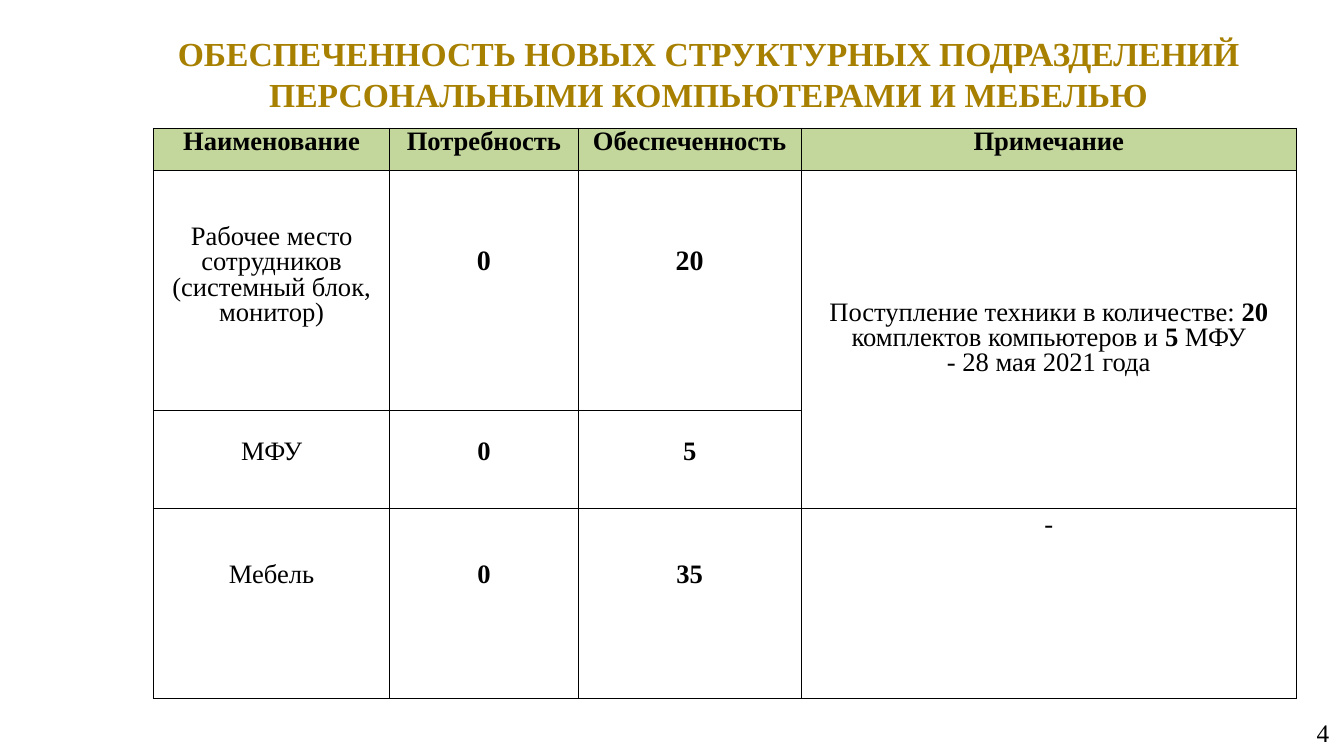
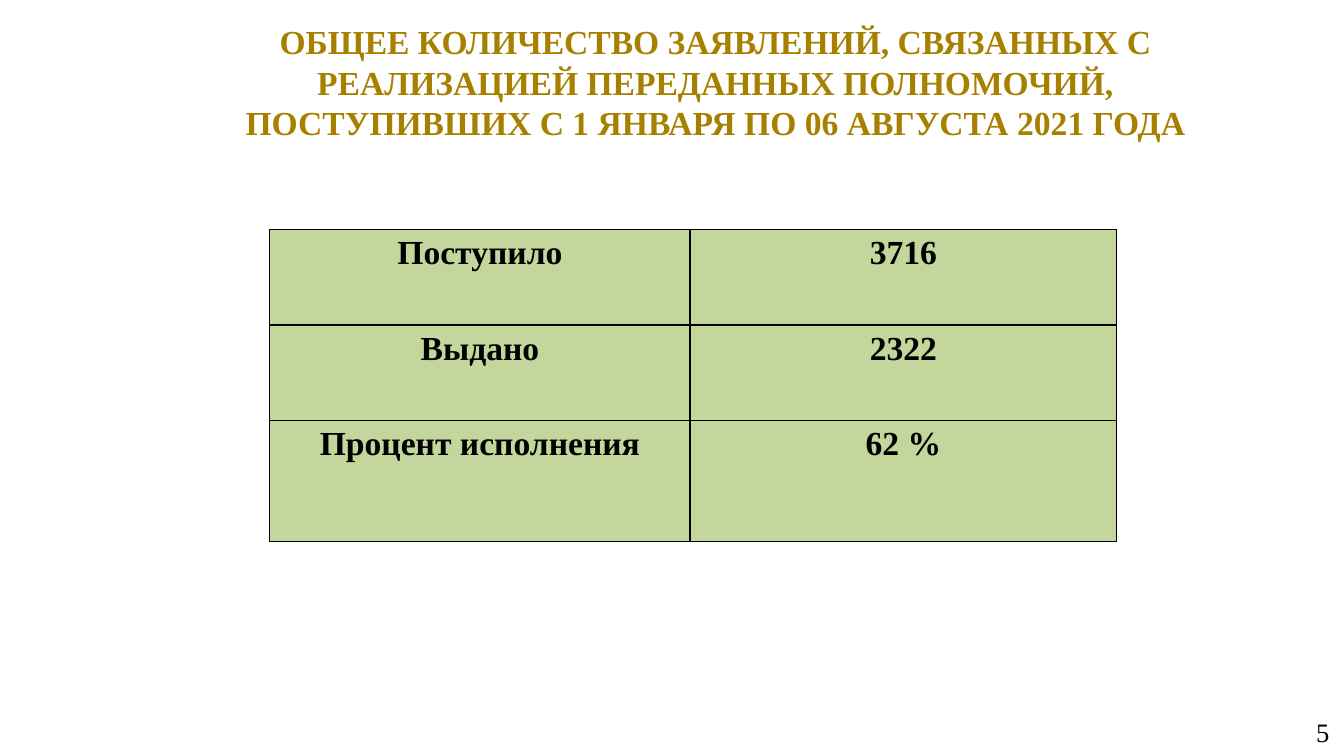
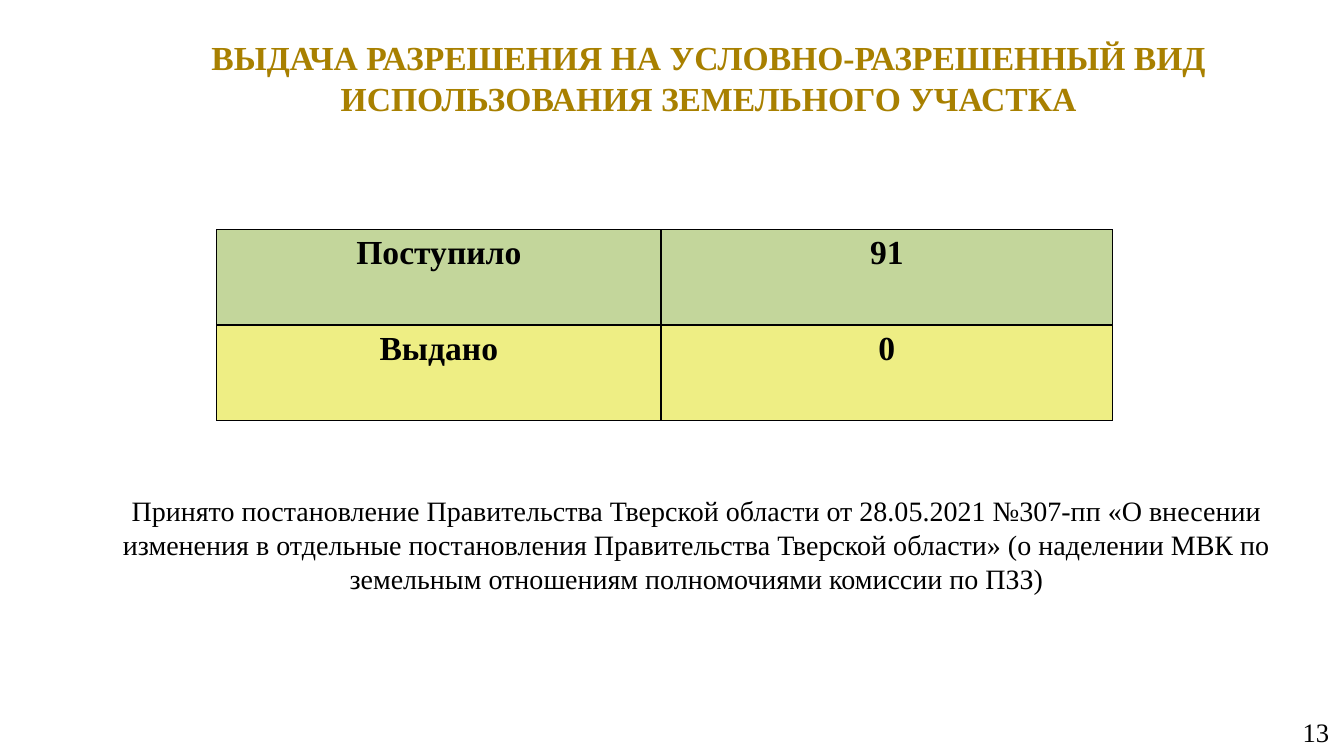
from dataclasses import dataclass
from typing import Optional

from lxml import etree
from pptx import Presentation
from pptx import util as u
from pptx.dml.color import RGBColor
from pptx.enum import text as t
from pptx.oxml import ns

GOLD = RGBColor(0xA8, 0x80, 0x00)
BLACK = RGBColor(0, 0, 0)
GREEN = RGBColor(0xC3, 0xD6, 0x9B)
YELLOW = RGBColor(0xEE, 0xEE, 0x84)
FACE = "Times New Roman"
EDGE = u.Pt(0.96)
PAD_X, PAD_Y = u.Cm(0.33), u.Cm(0.13)
BOX_Y = u.Cm(0.18)
LINE = u.Pt(18)


@dataclass
class Cell:
    """Lines of a cell; parts between asterisks are bold, gap counts lines above."""
    lines: tuple[str, ...]
    gap: int = 0
    size: float = 19
    bold: bool = False
    lead: Optional[u.Pt] = LINE
    fill: Optional[RGBColor] = None
    down: int = 1


@dataclass
class Grid:
    left: float
    top: float
    cols: tuple[float, ...]
    rows: tuple[float, ...]
    cells: list[list[Optional[Cell]]]


@dataclass
class Page:
    title: str
    left: float
    top: float
    num: str
    size: float
    grid: Grid


def style(par, size: float, color: RGBColor = BLACK, bold: bool = False,
          align=t.PP_ALIGN.CENTER) -> None:
    par.alignment = align
    font = par.font
    font.name, font.size, font.bold = FACE, u.Pt(size), bold
    font.color.rgb = color


def setup(frame) -> None:
    frame.word_wrap = True
    frame.auto_size = t.MSO_AUTO_SIZE.NONE
    frame.vertical_anchor = t.MSO_ANCHOR.MIDDLE
    frame.margin_left = frame.margin_right = PAD_X
    frame.margin_top = frame.margin_bottom = BOX_Y


def place(shape, left: float, top: float, width: float, height: float) -> None:
    shape.left, shape.top = u.Cm(left), u.Cm(top)
    shape.width, shape.height = u.Cm(width), u.Cm(height)


def add_text(slide, words: str, left: float, top: float, width: float,
             height: float, size: float, align=t.PP_ALIGN.CENTER) -> None:
    box = slide.shapes.add_textbox(0, 0, 0, 0)
    place(box, left, top, width, height)
    setup(box.text_frame)
    box.text_frame.text = words
    style(box.text_frame.paragraphs[0], size, align=align)


def add_edges(cell) -> None:
    props = cell._tc.get_or_add_tcPr()
    for side in ("lnL", "lnR", "lnT", "lnB"):
        line = etree.SubElement(props, ns.qn(f"a:{side}"), w=str(int(EDGE)))
        fill = etree.SubElement(line, ns.qn("a:solidFill"))
        etree.SubElement(fill, ns.qn("a:srgbClr"), val=str(BLACK))


def fill_cell(cell, item: Cell) -> None:
    if item.fill is not None:
        cell.fill.solid()
        cell.fill.fore_color.rgb = item.fill
    cell.margin_left = cell.margin_right = PAD_X
    cell.margin_top = PAD_Y + item.gap * LINE
    cell.margin_bottom = PAD_Y
    frame = cell.text_frame
    for i, line in enumerate(item.lines):
        par = frame.add_paragraph() if i else frame.paragraphs[0]
        for j, part in enumerate(line.split("*")):
            run = par.add_run()
            run.text = part
            if j % 2:
                run.font.bold = True
        style(par, item.size, bold=item.bold)
        if item.lead is not None:
            par.line_spacing = item.lead


def add_grid(slide, grid: Grid) -> None:
    table = slide.shapes.add_table(
        len(grid.rows), len(grid.cols), u.Cm(grid.left), u.Cm(grid.top),
        u.Cm(sum(grid.cols)), u.Cm(sum(grid.rows))).table
    table.first_row = table.horz_banding = False
    for col, width in zip(table.columns, grid.cols):
        col.width = u.Cm(width)
    for row, height in zip(table.rows, grid.rows):
        row.height = u.Cm(height)
    for r, items in enumerate(grid.cells):
        for c, item in enumerate(items):
            cell = table.cell(r, c)
            add_edges(cell)
            cell.fill.background()
            if item is None:
                continue
            if item.down > 1:
                cell.merge(table.cell(r + item.down - 1, c))
            fill_cell(cell, item)


def add_page(deck, page: Page):
    slide = deck.slides.add_slide(deck.slide_layouts[5])
    title = slide.shapes.title
    place(title, page.left, page.top, 29.06, 2.51)
    setup(title.text_frame)
    title.text_frame.text = page.title
    style(title.text_frame.paragraphs[0], 24, GOLD, True)
    add_text(slide, page.num, 25.96, 17.96, 7.87, 0.99, page.size,
             t.PP_ALIGN.RIGHT)
    add_grid(slide, page.grid)
    return slide


def head(word: str) -> Cell:
    return Cell((word,), bold=True, lead=u.Pt(16), fill=GREEN)


def count(word: str, gap: int, size: float = 19) -> Cell:
    return Cell((word,), gap, size, bold=True)


def pair(name: str, value: str, fill: RGBColor = GREEN) -> list[Cell]:
    return [Cell((word,), size=24, bold=True, lead=None, fill=fill)
            for word in (name, value)]


SUPPLY = Grid(3.87, 3.23, (5.95, 4.75, 5.62, 12.48), (1.07, 6.05, 2.47, 4.78), [
    [head(word) for word in
     ("Наименование", "Потребность", "Обеспеченность", "Примечание")],
    [Cell(("Рабочее место сотрудников", "(системный блок,", "монитор)"), 2),
     count("0", 3, 20), count("20", 3, 20),
     Cell(("Поступление техники в количестве: *20* комплектов компьютеров "
           "и *5* МФУ", "- 28 мая 2021 года"), 5, down=2)],
    [Cell(("МФУ",), 1), count("0", 1), count("5", 1), None],
    [Cell(("Мебель",), 2), count("0", 2), count("35", 2), Cell(("-",))],
])
TOTALS = Grid(6.8, 5.79, (10.59, 10.75), (2.4, 2.4, 3.06), [
    pair("Поступило", "3716"),
    pair("Выдано", "2322"),
    pair("Процент исполнения", "62 %"),
])
PERMITS = Grid(5.46, 5.79, (11.2, 11.38), (2.4, 2.4), [
    pair("Поступило", "91"),
    pair("Выдано", "0", YELLOW),
])
PAGES = [
    Page("ОБЕСПЕЧЕННОСТЬ НОВЫХ СТРУКТУРНЫХ ПОДРАЗДЕЛЕНИЙ ПЕРСОНАЛЬНЫМИ "
         "КОМПЬЮТЕРАМИ И МЕБЕЛЬЮ", 3.33, 0.6, "4", 18, SUPPLY),
    Page("ОБЩЕЕ КОЛИЧЕСТВО ЗАЯВЛЕНИЙ, СВЯЗАННЫХ С РЕАЛИЗАЦИЕЙ ПЕРЕДАННЫХ "
         "ПОЛНОМОЧИЙ,\vПОСТУПИВШИХ С 1 ЯНВАРЯ ПО 06 АВГУСТА 2021 ГОДА",
         3.5, 0.8, "5", 19, TOTALS),
    Page("ВЫДАЧА РАЗРЕШЕНИЯ НА УСЛОВНО-РАЗРЕШЕННЫЙ ВИД ИСПОЛЬЗОВАНИЯ "
         "ЗЕМЕЛЬНОГО УЧАСТКА", 3.33, 0.7, "13", 19, PERMITS),
]
DECREE = ("Принято постановление Правительства Тверской области от 28.05.2021 "
          "№307-пп «О внесении изменения в отдельные постановления "
          "Правительства Тверской области» (о наделении МВК по земельным "
          "отношениям полномочиями комиссии по ПЗЗ)")


def main() -> None:
    deck = Presentation()
    deck.slide_width, deck.slide_height = u.Cm(33.87), u.Cm(19.05)
    slides = [add_page(deck, page) for page in PAGES]
    add_text(slides[-1], DECREE, 2.44, 11.99, 30.23, 3.45, 20)
    deck.save("out.pptx")


if __name__ == "__main__":
    main()
